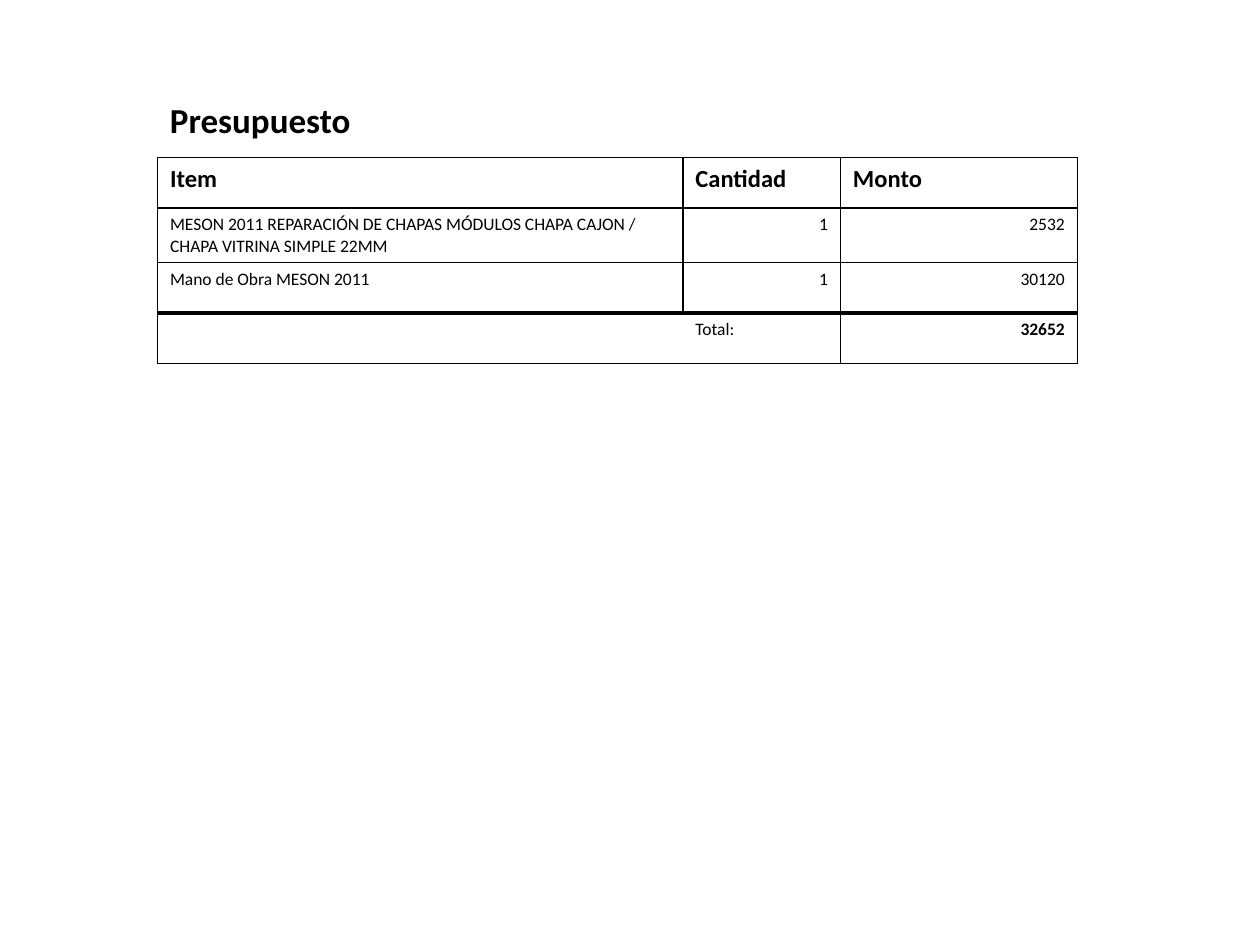
from lxml import etree
from pptx import Presentation
from pptx.dml.color import RGBColor
from pptx.enum.text import MSO_ANCHOR, PP_ALIGN
from pptx.oxml.ns import qn
from pptx.util import Inches, Pt

LEFT, RIGHT = PP_ALIGN.LEFT, PP_ALIGN.RIGHT
TOP = MSO_ANCHOR.TOP
BLACK = RGBColor(0, 0, 0)
WHITE = RGBColor(255, 255, 255)
FONT = "Calibri"
WIDTH, HEIGHT = Inches(10), Inches(7.5)
MARGIN = WIDTH * 0.125
ROW = Inches(0.4)
COLUMNS = (4.17, 1.25, 1.88)
ROWS = (
    ("Item", "Cantidad", "Monto"),
    ("MESON 2011 REPARACIÓN DE CHAPAS MÓDULOS CHAPA CAJON / "
     "CHAPA VITRINA SIMPLE 22MM", "1", "2532"),
    ("Mano de Obra MESON 2011", "1", "30120"),
    ("", "Total:", "32652"),
)


def write(frame, text, size=10, bold=False, align=LEFT):
    """Write one formatted paragraph into a text frame."""
    para = frame.paragraphs[0]
    para.alignment = align
    para.font.size = Pt(size)
    if text:
        span = para.add_run()
        span.text = text
        span.font.name = FONT
        span.font.size = Pt(size)
        span.font.bold = bold
        span.font.color.rgb = BLACK


def set_borders(cell, widths):
    """Draw the cell sides, given as a mapping of side to points."""
    properties = cell._tc.get_or_add_tcPr()
    for index, side in enumerate("LRTB"):
        line = etree.Element(qn(f"a:ln{side}"), w=str(Pt(widths[side])))
        if widths[side]:
            fill = etree.SubElement(line, qn("a:solidFill"))
            etree.SubElement(fill, qn("a:srgbClr"), val=str(BLACK))
        else:
            etree.SubElement(line, qn("a:noFill"))
        properties.insert(index, line)


def add_title(page, text):
    """Add the heading above the table."""
    box = page.shapes.add_textbox(int(MARGIN), Inches(0.73),
                                  int(WIDTH * 0.625), ROW)
    box.text_frame.word_wrap = True
    write(box.text_frame, text, size=20, bold=True)


def add_budget(page):
    """Add the budget table with its header, items and total."""
    frame = page.shapes.add_table(len(ROWS), len(COLUMNS), int(MARGIN),
                                  Inches(1.25), Inches(sum(COLUMNS)),
                                  ROW * len(ROWS))
    table = frame.table
    table.first_row = table.horz_banding = False
    for column, width in zip(table.columns, COLUMNS):
        column.width = Inches(width)
    last = len(ROWS) - 1
    for r, texts in enumerate(ROWS):
        table.rows[r].height = ROW
        for c, text in enumerate(texts):
            cell = table.cell(r, c)
            cell.vertical_anchor = TOP
            cell.fill.solid()
            cell.fill.fore_color.rgb = WHITE
            header = r == 0
            amount = not header and c > 0 and text != "Total:"
            write(cell.text_frame, text, size=14 if header else 10,
                  bold=header or (r == last and c == 2),
                  align=RIGHT if amount else LEFT)
            set_borders(cell, {
                "L": 0 if (r, c) == (last, 1) else 1,
                "R": 0 if (r, c) == (last, 0) else 1,
                "T": 2 if r == last else 1,
                "B": 2 if r == last - 1 else 1,
            })


def main():
    """Build and save the budget slide."""
    deck = Presentation()
    deck.slide_width, deck.slide_height = WIDTH, HEIGHT
    page = deck.slides.add_slide(deck.slide_layouts[6])
    add_title(page, "Presupuesto")
    add_budget(page)
    deck.save("out.pptx")


main()
